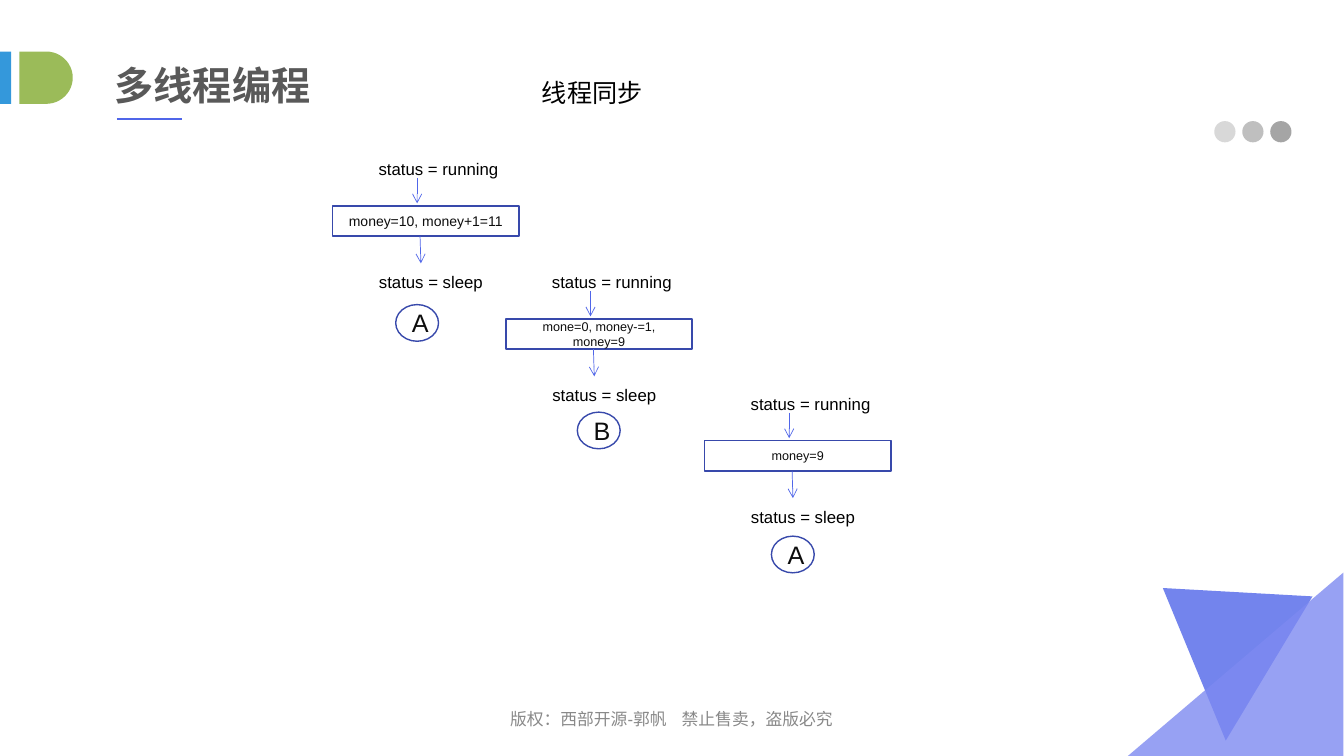
from lxml import etree
from pptx import Presentation
from pptx.dml.color import RGBColor
from pptx.enum import shapes as sh, text as tx
from pptx.oxml.ns import qn
from pptx.util import Pt

KIND = sh.MSO_SHAPE
MID = tx.MSO_ANCHOR.MIDDLE
MITTE = tx.PP_ALIGN.CENTER
BLUE, NAVY, INK = "5066E9", "3849AB", "0D0D0D"
CJK = "Noto Sans CJK SC"


def color(fmt, hue):
    """Set a solid colour on a fill."""
    fmt.solid()
    fmt.fore_color.rgb = RGBColor.from_string(hue)


def write(shape, words, size, hue, align=None, anchor=None, face="Arial",
          bold=False, space=None):
    frame = shape.text_frame
    frame.word_wrap = True
    frame.vertical_anchor = anchor
    para = frame.paragraphs[0]
    para.alignment, para.line_spacing = align, space
    run = para.add_run()
    run.text = words
    for key, val in {"size": Pt(size), "name": face, "bold": bold}.items():
        setattr(run.font, key, val)
    color(run.font.fill, hue)
    etree.SubElement(run.font._element, qn("a:ea"), typeface=CJK)


def label(slide, box, words, size, hue, **form):
    area = slide.shapes.add_textbox(*map(Pt, box))
    write(area, words, size, hue, **form)


def block(slide, kind, box, fill=None, edge=None):
    shape = slide.shapes.add_shape(kind, *map(Pt, box))
    shape.shadow.inherit = False
    for part, hue in ((shape.fill, fill), (shape.line.fill, edge)):
        if hue:
            color(part, hue)
        else:
            part.background()
    if edge:
        shape.line.width = Pt(1)
    return shape


def line(slide, start, end, width, head=False):
    link = slide.shapes.add_connector(
        sh.MSO_CONNECTOR.STRAIGHT, *map(Pt, start + end))
    color(link.line.fill, BLUE)
    link.line.width = Pt(width)
    if head:
        etree.SubElement(link.line._get_or_add_ln(), qn("a:tailEnd"), type="arrow")
    etree.SubElement(link._element.spPr, qn("a:effectLst"))


def facet(slide, points, hue):
    """Draw a triangle at 80 % opacity."""
    path = slide.shapes.build_freeform(*points[0], scale=Pt(1))
    path.add_line_segments(points[1:])
    shape = path.convert_to_shape()
    shape.shadow.inherit = False
    shape.line.fill.background()
    color(shape.fill, hue)
    tone = shape._element.spPr.find(".//" + qn("a:srgbClr"))
    etree.SubElement(tone, qn("a:alpha"), val="80000")


def thread(slide, left, top, words, size, name, ring):
    """Draw one turn of a thread: running, money step, sleep, name."""
    box = block(slide, KIND.RECTANGLE, (left, top, 133.2, 21.6), edge=NAVY)
    write(box, words, size, INK, MITTE, MID)
    for state, dx, dy, width in (("running", 9.2, -37.3, 133.2),
                                 ("sleep", 20.4, 43.4, 100)):
        label(slide, (left + dx, top + dy, width, 21.8), f"status = {state}",
              12, "000000", align=MITTE)
    for x, y, ex, ey in ((60.5, -20, 60.5, -1.8), (62.6, 21.6, 63.2, 41)):
        line(slide, (left + x, top + y), (left + ex, top + ey), 0.5, True)
    disc = block(slide, KIND.OVAL, (*ring, 30.6, 26.2), edge=NAVY)
    write(disc, name, 18, INK, MITTE, MID)


def main():
    deck = Presentation()
    deck.slide_width, deck.slide_height = Pt(960.5), Pt(540)
    slide = deck.slides.add_slide(deck.slide_layouts[6])

    # Footer and corner
    label(slide, (324, 499.7, 311.8, 25.2), "版权：西部开源-郭帆    禁止售卖，盗版必究",
          12, "898989", align=MITTE, anchor=MID, space=1.2)
    facet(slide, [(938.2, 426.4), (876.4, 528.6), (830.9, 420.2)], BLUE)
    facet(slide, [(960.5, 540), (805.7, 540), (960.5, 409)], "7E8AF1")

    # Heading
    label(slide, (74.9, 37.4, 345.6, 46.1), "多线程编程", 28, "595959",
          anchor=MID, face=CJK, bold=True)
    block(slide, KIND.RECTANGLE, (0, 36.8, 8, 37.4), "3498DB")
    block(slide, KIND.FLOWCHART_DELAY, (13.8, 36.8, 38.2, 37.4), "9BBB59")
    for i, gray in enumerate(("D8D8D8", "BFBFBF", "A5A5A5")):
        block(slide, KIND.OVAL, (867.8 + 20 * i, 86.5, 15.2, 15.2), gray)
    line(slide, (83.5, 85), (130.3, 85), 1.5)
    label(slide, (380.2, 51.8, 200.2, 28.8), "线程同步", 18, "000000")

    # Threads
    for turn in (
        (237.6, 147.1, "money=10, money+1=11", 10, "A", (282.8, 217.6)),
        (361.5, 227.8, "mone=0, money-=1, money=9", 9, "B", (412.6, 294.4)),
        (503.5, 314.8, "money=9", 9, "A", (551.3, 383)),
    ):
        thread(slide, *turn)

    deck.save("out.pptx")


if __name__ == "__main__":
    main()
